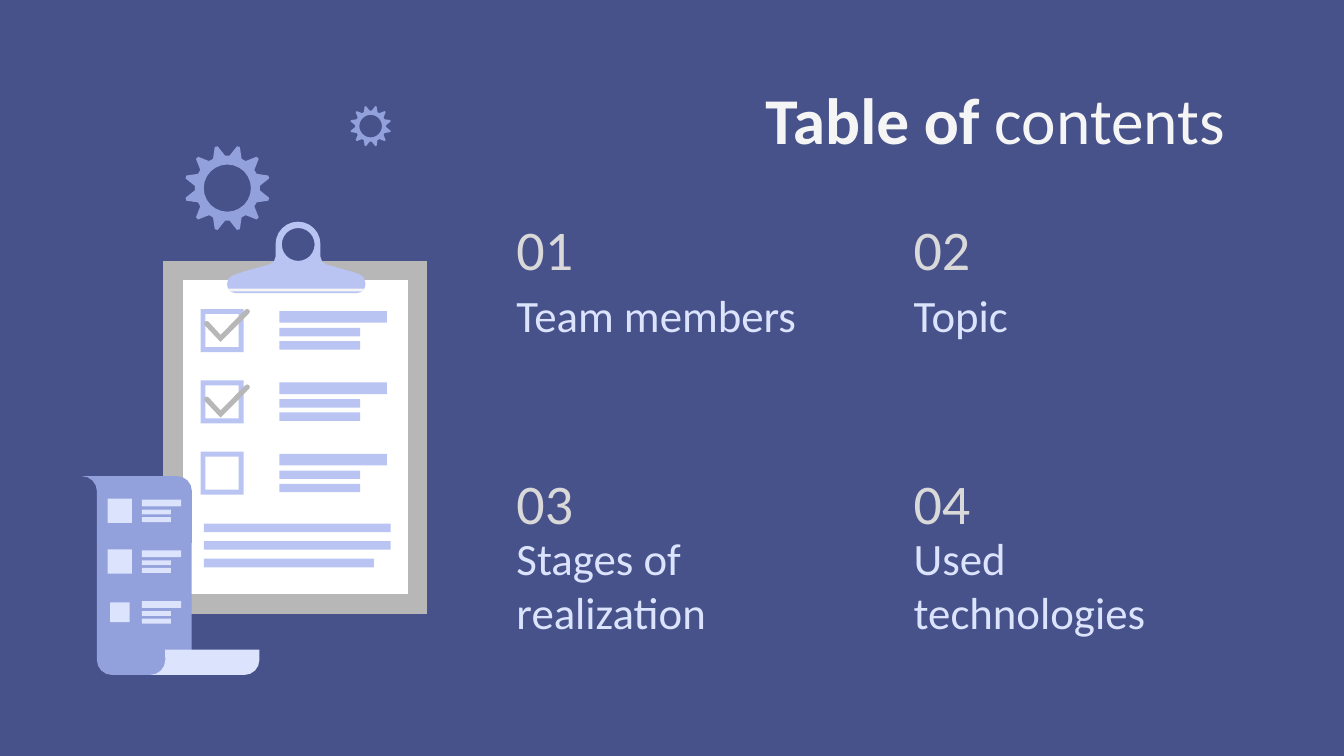
from math import cos, radians, sin

from pptx import Presentation
from pptx.dml.color import RGBColor
from pptx.enum.text import MSO_ANCHOR, MSO_AUTO_SIZE, PP_ALIGN
from pptx.util import Pt

NAVY = RGBColor(0x48, 0x52, 0x8A)
BLUE = RGBColor(0x92, 0xA1, 0xDB)
LILAC = RGBColor(0xBA, 0xC4, 0xF3)
PALE = RGBColor(0xDB, 0xE3, 0xFD)
GREY = RGBColor(0xB7, 0xB7, 0xB7)
SILVER = RGBColor(0xD9, 0xD9, 0xD9)
SNOW = RGBColor(0xF5, 0xF5, 0xF5)
WHITE = RGBColor(0xFF, 0xFF, 0xFF)
FONT = "Calibri"

TITLE = ("Table of", " contents")
TOPICS = ["Team members", "Topic", "Stages of realization", "Used technologies"]
COLS = (269.6, 482.4)
ROWS = ((115.2, 159.4), (251.3, 318.4))
BIG = (121.8, 100.8, 23)
SMALL = (198.6, 67.6, 11)
LINES = [(0, 57.6, 6.2), (9, 43.2, 4.5), (16.1, 43.2, 4.5)]
NOTES = [(0, 21, 3.6), (5.3, 15.6, 2.6), (9.4, 15.6, 2.6)]
FOOTER = [(0, 100, 4.6), (9.4, 100, 4.6), (18.8, 91, 4.6)]
SQUARES = (13, 13, 10.5)


def rect(x, y, w, h):
    """List the corners of a rectangle."""
    return [(x, y), (x, y + h), (x + w, y + h), (x + w, y)]


def bars(x, y, rows):
    """List the loops of a stack of text bars."""
    return [rect(x, y + step, w, h) for step, w, h in rows]


def arc(x, y, r, start, end, count=4):
    """List points along an arc, in degrees."""
    turns = [radians(start + (end - start) * i / count) for i in range(count + 1)]
    return [(x + r * cos(t), y + r * sin(t)) for t in turns]


def draw(color, *loops):
    """Draw one filled outline from one or more point loops."""
    loops = [[(Pt(x), Pt(y)) for x, y in loop] for loop in loops]
    pen = shapes.build_freeform(*loops[0][0])
    pen.add_line_segments(loops[0][1:])
    for loop in loops[1:]:
        pen.move_to(*loop[0])
        pen.add_line_segments(loop[1:])
    shape = pen.convert_to_shape()
    shape.shadow.inherit = False
    shape.fill.solid()
    shape.fill.fore_color.rgb = color
    shape.line.fill.background()


def gear(x, y, r):
    """Draw a gear with twelve teeth and a round hole."""
    rim = []
    for mid in range(-105, 255, 30):
        for turn, part in ((-11, 0.76), (-2, 1), (2, 1), (11, 0.76)):
            rim += arc(x, y, r * part, mid + turn, mid + turn, 1)[:1]
    draw(BLUE, rim, arc(x, y, r * 0.55, 0, 360, 24))


def tick(y):
    """List the outline of a check mark with round ends."""
    return [*arc(132.5, y + 1.3, 1.4, -135, 45), (118.2, y + 17.6),
            *arc(110.8, y + 7.8, 1.4, 138, 318), (118.2, y + 13.8)]


def style(run, size, color, bold=False):
    """Format a run."""
    run.font.name = FONT
    run.font.size = Pt(size)
    run.font.color.rgb = color
    run.font.bold = bold


def frame(shape, anchor):
    """Set the margins, wrap and anchor of a text frame."""
    text = shape.text_frame
    text.word_wrap = True
    text.auto_size = MSO_AUTO_SIZE.NONE
    text.vertical_anchor = anchor
    text.margin_left = text.margin_right = Pt(7.2)
    text.margin_top = text.margin_bottom = Pt(7.2)
    return text


def label(x, y, w, h, words, size, color, anchor):
    """Add a one-run text box."""
    text = frame(shapes.add_textbox(Pt(x), Pt(y), Pt(w), Pt(h)), anchor)
    text.text = words
    style(text.paragraphs[0].runs[0], size, color)


deck = Presentation()
deck.slide_width, deck.slide_height = Pt(720), Pt(405)
slide = deck.slides.add_slide(deck.slide_layouts[5])
slide.background.fill.solid()
slide.background.fill.fore_color.rgb = NAVY
shapes = slide.shapes

title = shapes.title
title.left, title.top, title.width, title.height = Pt(56.5), Pt(35.3), Pt(607), Pt(45.4)
head = frame(title, MSO_ANCHOR.TOP).paragraphs[0]
head.alignment = PP_ALIGN.RIGHT
for words, bold in zip(TITLE, (True, False)):
    run = head.add_run()
    run.text = words
    style(run, 35, SNOW, bold)

for i, topic in enumerate(TOPICS):
    x, (top, low) = COLS[i % 2], ROWS[i // 2]
    label(x, top, 57.6, 35.3, f"{i + 1:02}", 30, SILVER, MSO_ANCHOR.MIDDLE)
    label(x, low, 181.4, 31, topic, 24, PALE, MSO_ANCHOR.BOTTOM)

gear(*BIG)
draw(GREY, rect(87.4, 139.8, 141.6, 188.9))
draw(WHITE, rect(98, 150, 120.5, 168.3))
clip = [(121.7, 152), (122.4, 149.3), (124.5, 147.6), (131, 145.4), (144, 141.8),
        (146.8, 140.2), (147.7, 137.5), *arc(159.7, 130.8, 12, 180, 360, 12),
        (171.7, 137.5), (172.6, 140.2), (175, 141.8), (188, 145.4), (192.7, 147),
        (195, 148.8), (195.8, 151.5), *arc(191.3, 152.5, 4.5, 0, 90),
        *arc(126.2, 152.5, 4.5, 90, 180)]
draw(LILAC, clip, arc(159.8, 131, 8.8, 0, 360, 24))
draw(SNOW, [(122, 154.6), (123.2, 156.1), (194, 156.1), (195.3, 154.6)])

loops = bars(109.3, 280.5, FOOTER)
for i in range(3):
    drop = i * 38.2
    loops += bars(149.7, 166.7 + drop, LINES)
    loops += [rect(107.5, 165.6 + drop, 23, 23), rect(110.1, 168.2 + drop, 17.8, 17.8)]
draw(LILAC, *loops)
draw(GREY, tick(165.6), tick(206.1))

sheet = [*arc(43.9, 263.1, 8, -90, 0), *arc(59.9, 353.6, 8, 180, 90),
         (110.6, 361.6), *arc(110.6, 353.6, 8, 90, 180),
         *arc(94.8, 263.1, 8, 0, -90)]
foot = [(88.5, 348), *arc(80.6, 353.6, 8, 0, 90),
        *arc(131, 353.6, 8, 90, 0), (139, 348)]
draw(BLUE, sheet)
draw(PALE, foot)
loops = []
for i, size in enumerate(SQUARES):
    drop = i * 27.2
    loops.append(rect(64.2 - size / 2, 273.6 + drop - size / 2, size, size))
    loops += bars(76, 267.7 + drop, NOTES)
draw(PALE, *loops)
gear(*SMALL)

deck.save("out.pptx")
